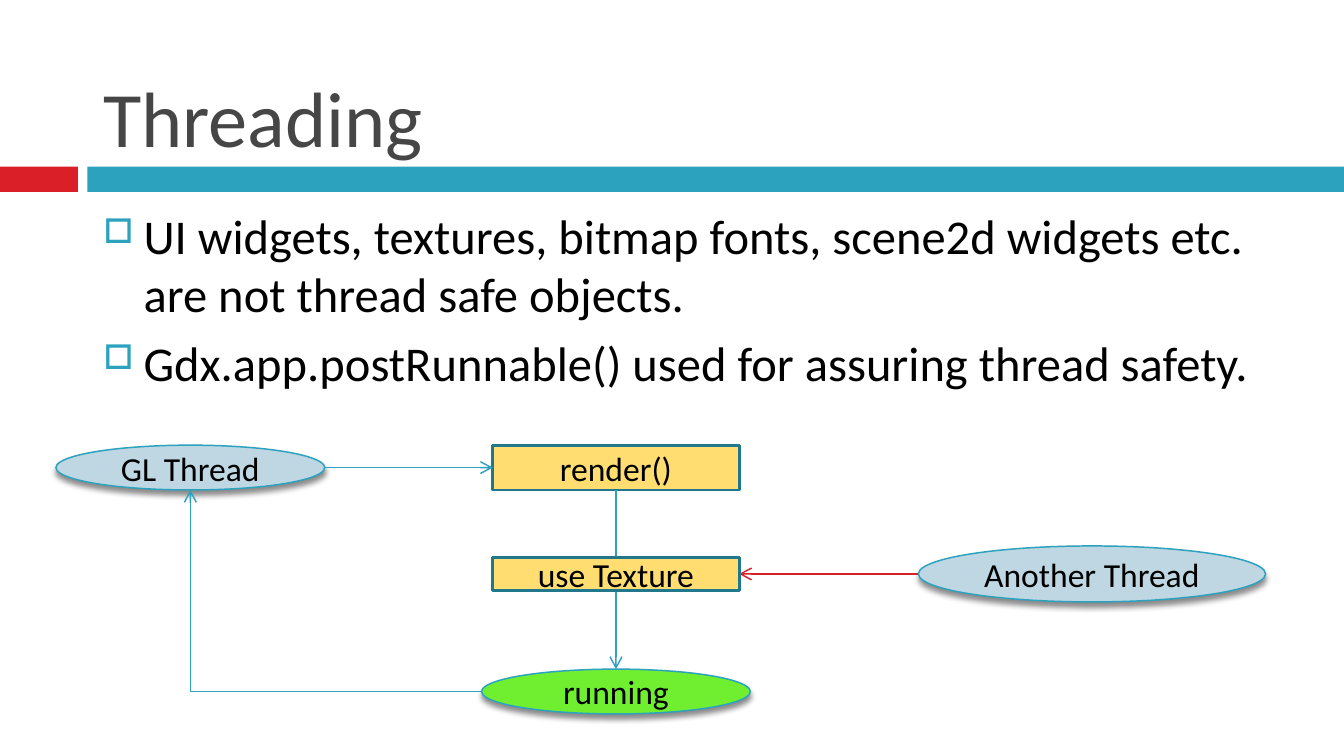
from lxml import etree
from pptx import Presentation
from pptx.dml.color import RGBColor
from pptx.enum import shapes as s, text as t
from pptx.oxml import ns
from pptx.util import Pt

COLORS = {
    "red": "DA1F28", "teal": "2DA2BF", "dark_teal": "21788D",
    "title": "464646", "black": "000000",
    "thread": "BED7E2", "step": "FFDD71", "running": "70EF31",
}


def rgb(name):
    return RGBColor.from_string(COLORS[name])


def write(paragraph, words, size=18, color="black", align=t.PP_ALIGN.LEFT):
    paragraph.alignment = align
    run = paragraph.add_run()
    run.text = words
    run.font.name = "Calibri"
    run.font.size = Pt(size)
    run.font.color.rgb = rgb(color)


prs = Presentation()
prs.slide_width, prs.slide_height = Pt(720), Pt(405)
slide = prs.slides.add_slide(prs.slide_layouts[6])
items = slide.shapes

for left, width, color in ((0, 41.76, "red"), (46.8, 673.2, "teal")):
    band = items.add_shape(s.MSO_SHAPE.RECTANGLE, Pt(left), Pt(89.28), Pt(width), Pt(13.5))
    band.shadow.inherit = False
    band.fill.solid()
    band.fill.fore_color.rgb = rgb(color)
    band.line.fill.background()

title = items.add_textbox(Pt(48.24), Pt(9.4), Pt(642.24), Pt(79.2)).text_frame
title.word_wrap = True
title.vertical_anchor = t.MSO_ANCHOR.BOTTOM
title.margin_bottom = Pt(1)
write(title.paragraphs[0], "Threading", size=42, color="title")

body = items.add_textbox(Pt(48.24), Pt(94.3), Pt(630), Pt(270)).text_frame
body.word_wrap = True
body.margin_top = Pt(16)
points = (
    "UI widgets, textures, bitmap fonts, scene2d widgets etc. are not thread safe objects.",
    "Gdx.app.postRunnable() used for assuring thread safety.",
)
for i, point in enumerate(points):
    paragraph = body.add_paragraph() if i else body.paragraphs[0]
    if i:
        paragraph.space_before = Pt(5.5)
    props = paragraph._p.get_or_add_pPr()
    props.set("marL", str(Pt(21.6)))
    props.set("indent", str(-Pt(21.6)))
    bullet_color = etree.SubElement(props, ns.qn("a:buClr"))
    etree.SubElement(bullet_color, ns.qn("a:srgbClr"), val=COLORS["teal"])
    etree.SubElement(props, ns.qn("a:buSzPct"), val="70000")
    etree.SubElement(props, ns.qn("a:buChar"), char="□")
    write(paragraph, point, size=26)

nodes = (
    ("GL Thread", "thread", 30, 238.5, 144, 24),
    ("render()", "step", 264, 238.5, 132, 24),
    ("running", "running", 258, 358.5, 144, 24),
    ("Another Thread", "thread", 492, 292.5, 186, 30),
    ("use Texture", "step", 264, 298.5, 132, 18),
)
flow = {}
for label, role, left, top, width, height in nodes:
    is_step = role == "step"
    outline = s.MSO_SHAPE.RECTANGLE if is_step else s.MSO_SHAPE.OVAL
    node = items.add_shape(outline, Pt(left), Pt(top), Pt(width), Pt(height))
    node.shadow.inherit = False
    node.fill.solid()
    node.fill.fore_color.rgb = rgb(role)
    node.line.color.rgb = rgb("dark_teal" if is_step else "teal")
    node.line.width = Pt(1.5 if is_step else 0.79)
    if not is_step:
        effects = node._element.spPr.find(ns.qn("a:effectLst"))
        shadow = etree.SubElement(
            effects, ns.qn("a:outerShdw"), blurRad=str(Pt(3)), dist=str(Pt(2.4)),
            dir="5400000", rotWithShape="0")
        shade = etree.SubElement(shadow, ns.qn("a:srgbClr"), val=COLORS["black"])
        etree.SubElement(shade, ns.qn("a:alpha"), val="45000")
    frame = node.text_frame
    frame.word_wrap = True
    frame.vertical_anchor = t.MSO_ANCHOR.MIDDLE
    frame.margin_top = frame.margin_bottom = 0
    write(frame.paragraphs[0], label, align=t.PP_ALIGN.CENTER)
    flow[label] = node

render, texture = flow["render()"], flow["use Texture"]
arrows = (
    ((174, 250.5), (264, 250.5), "teal", None, (render, 1)),
    ((330, 262.5), (330, 358.5), "teal", (render, 2), None),
    ((258, 370.5), (102, 262.5), "teal", None, None),
    ((492, 307.5), (396, 307.5), "red", None, (texture, 3)),
)
for start, end, color, source, target in arrows:
    bent = start[0] != end[0] and start[1] != end[1]
    kind = s.MSO_CONNECTOR.ELBOW if bent else s.MSO_CONNECTOR.STRAIGHT
    arrow = items.add_connector(kind, *map(Pt, start + end))
    if source:
        arrow.begin_connect(*source)
    if target:
        arrow.end_connect(*target)
    arrow.line.color.rgb = rgb(color)
    arrow.line.width = Pt(0.79)
    props = arrow._element.spPr
    if bent:
        props.find(ns.qn("a:prstGeom")).set("prst", "bentConnector2")
    etree.SubElement(props.find(ns.qn("a:ln")), ns.qn("a:tailEnd"), type="arrow")
    etree.SubElement(props, ns.qn("a:effectLst"))

tree = items._spTree
tree.remove(texture._element)
tree.append(texture._element)

prs.save("out.pptx")
